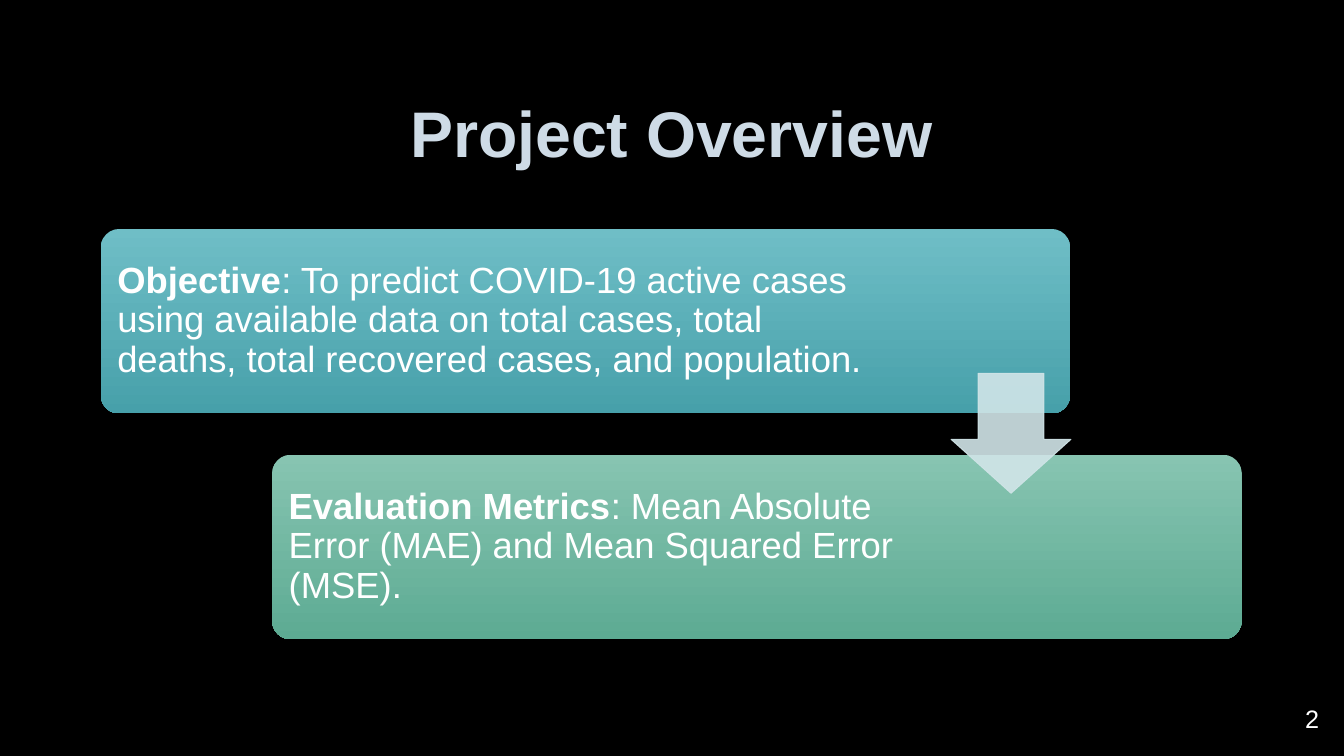
from typing import NamedTuple

import pptx
import pptx.dml.color
import pptx.enum.dml
import pptx.enum.shapes
import pptx.enum.text
import pptx.oxml.ns
import pptx.util
from lxml import etree
from pptx.util import Cm

ALIGN = pptx.enum.text.PP_ALIGN
MIDDLE = pptx.enum.text.MSO_ANCHOR.MIDDLE
SHAPE = pptx.enum.shapes.MSO_SHAPE
WHITE = "FFFFFF"
PALE = "D1E5E8"


class Card(NamedTuple):
    left: float
    top: float
    inset: float
    shades: tuple[str, str]
    head: str
    body: str


CARDS = [
    Card(2.54, 5.77, 4.82, ("6FBEC6", "47A0AA"), "Objective",
         ": To predict COVID-19 active cases using available data on total cases, "
         "total deaths, total recovered cases, and population."),
    Card(6.86, 11.46, 7.62, ("87C4B1", "5DAB93"), "Evaluation Metrics",
         ": Mean Absolute Error (MAE) and Mean Squared Error (MSE)."),
]


def tint(color, code: str) -> None:
    """Set a colour format from a hex string."""
    color.rgb = pptx.dml.color.RGBColor.from_string(code)


def style(para, size: float, code: str, align=ALIGN.LEFT) -> None:
    para.alignment = align
    para.font.name = "Arial"
    para.font.size = pptx.util.Pt(size)
    tint(para.font.color, code)


def draw_title(slide) -> None:
    title = slide.shapes.title
    title.left, title.top = Cm(2.54), Cm(1.7)
    title.width, title.height = Cm(28.75), Cm(3.5)
    frame = title.text_frame
    frame.text = "Project Overview"
    frame.vertical_anchor = MIDDLE
    para = frame.paragraphs[0]
    style(para, 46, "CEDBE6", ALIGN.CENTER)
    para.font.bold = True
    para.line_spacing = 0.9


def draw_card(slide, card: Card) -> None:
    box = slide.shapes.add_shape(SHAPE.ROUNDED_RECTANGLE, Cm(card.left), Cm(card.top),
                                 Cm(24.43), Cm(4.65))
    box.adjustments[0] = 0.1
    box.shadow.inherit = False
    box.line.fill.background()
    box.fill.gradient()
    box.fill.gradient_angle = 270
    for stop, shade in zip(box.fill.gradient_stops, card.shades):
        tint(stop.color, shade)
    frame = box.text_frame
    frame.word_wrap = True
    frame.vertical_anchor = MIDDLE
    frame.margin_left = frame.margin_top = frame.margin_bottom = Cm(0.28)
    frame.margin_right = Cm(card.inset)
    para = frame.paragraphs[0]
    style(para, 26, WHITE)
    para.line_spacing = 0.9
    head = para.add_run()
    head.text = card.head
    head.font.bold = True
    para.add_run().text = card.body


def draw_arrow(slide) -> None:
    arrow = slide.shapes.add_shape(SHAPE.DOWN_ARROW, Cm(23.97), Cm(9.41), Cm(3.02), Cm(3.02))
    arrow.adjustments[0] = 0.55
    arrow.adjustments[1] = 0.45
    arrow.shadow.inherit = False
    arrow.fill.solid()
    tint(arrow.fill.fore_color, PALE)
    tint(arrow.line.color, PALE)
    arrow.line.width = pptx.util.Pt(0.75)
    qn = pptx.oxml.ns.qn
    for color in arrow.element.spPr.iter(qn("a:srgbClr")):
        etree.SubElement(color, qn("a:alpha"), val="90000")


def draw_number(slide) -> None:
    box = slide.shapes.add_textbox(Cm(32.64), Cm(17.6), Cm(0.86), Cm(1.02))
    frame = box.text_frame
    frame.text = "2"
    frame.word_wrap = False
    frame.auto_size = pptx.enum.text.MSO_AUTO_SIZE.SHAPE_TO_FIT_TEXT
    style(frame.paragraphs[0], 18, WHITE)


def main() -> None:
    deck = pptx.Presentation()
    deck.slide_width, deck.slide_height = Cm(33.87), Cm(19.05)
    slide = deck.slides.add_slide(deck.slide_layouts[5])
    slide.background.fill.solid()
    tint(slide.background.fill.fore_color, "000000")
    draw_title(slide)
    for card in CARDS:
        draw_card(slide, card)
    draw_arrow(slide)
    draw_number(slide)
    deck.save("out.pptx")


if __name__ == "__main__":
    main()
